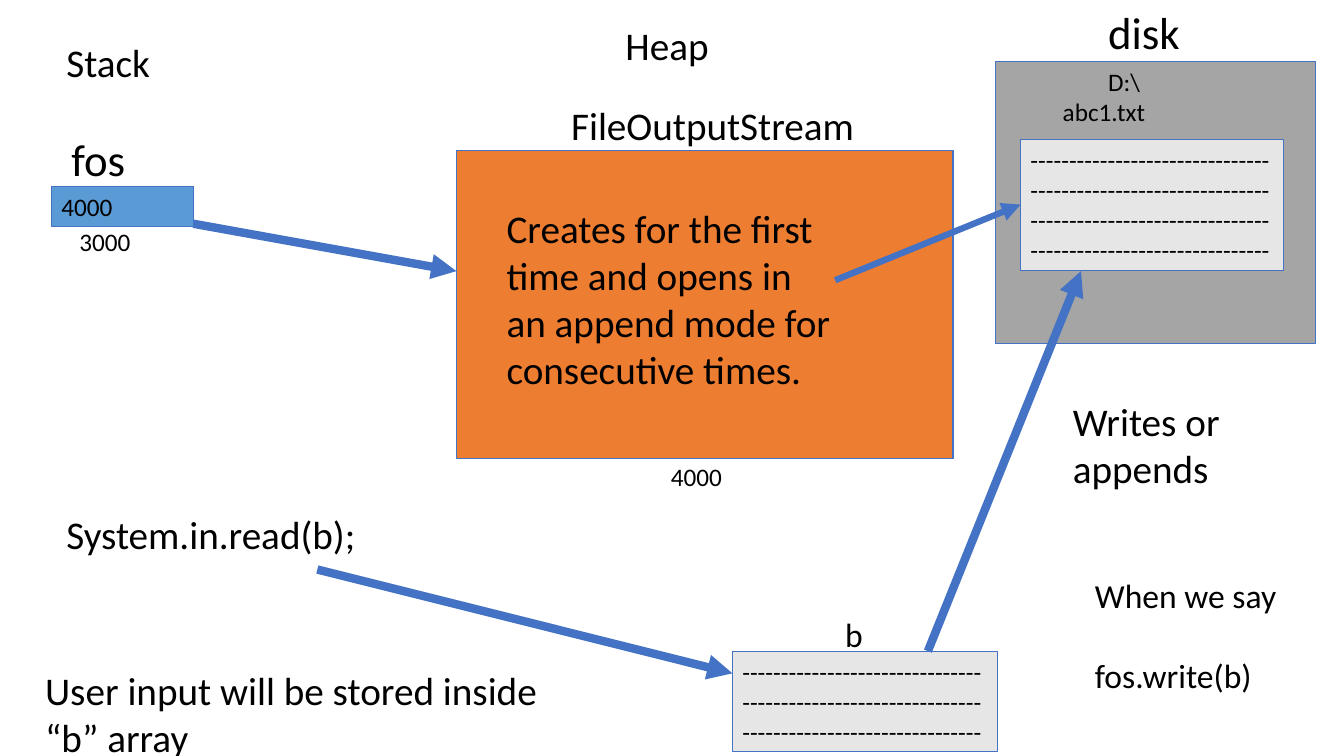
from pptx import Presentation
from pptx.dml.color import RGBColor
from pptx.enum.shapes import MSO_CONNECTOR, MSO_SHAPE
from pptx.enum.text import MSO_ANCHOR, PP_ALIGN
from pptx.oxml.ns import qn
from pptx.util import Inches, Pt
from lxml.etree import SubElement

BLUE = "4472C4"
PALE = "E7E6E6"
DASHES = 31


def color(text):
    """Turn a hex string into a colour."""
    return RGBColor.from_string(text)


def write(shape, text, size):
    """Put black, left-aligned text in a shape."""
    frame = shape.text_frame
    frame.text = text
    frame.word_wrap = True
    frame.vertical_anchor = MSO_ANCHOR.TOP
    for para in frame.paragraphs:
        para.alignment = PP_ALIGN.LEFT
        for run in para.runs:
            run.font.name = "Calibri"
            run.font.size = Pt(size)
            run.font.color.rgb = color("000000")
    return frame


def label(slide, x, y, w, h, text, size=28):
    """Add a text box."""
    box = slide.shapes.add_textbox(Inches(x), Inches(y), Inches(w), Inches(h))
    return write(box, text, size)


def block(slide, x, y, w, h, fill, text=""):
    """Add an outlined rectangle."""
    rect = slide.shapes.add_shape(
        MSO_SHAPE.RECTANGLE, Inches(x), Inches(y), Inches(w), Inches(h))
    rect.shadow.inherit = False
    rect.fill.solid()
    rect.fill.fore_color.rgb = color(fill)
    rect.line.color.rgb = color(BLUE)
    rect.line.width = Pt(0.75)
    write(rect, text, 18)
    return rect


def arrow(slide, start, end, width=6):
    """Add an arrow between two points."""
    line = slide.shapes.add_connector(
        MSO_CONNECTOR.STRAIGHT, *map(Inches, start + end))
    line.line.color.rgb = color(BLUE)
    line.line.width = Pt(width)
    SubElement(line.line._get_or_add_ln(), qn("a:tailEnd"), type="triangle")
    SubElement(line._element.spPr, qn("a:effectLst"))
    return line


def stack(slide, x, y):
    """Draw the stack with its variable cell."""
    label(slide, x + 0.05, y - 1.52, 1.24, 0.57, "Stack")
    label(slide, x + 0.1, y - 0.59, 0.98, 0.64, "fos", 32)
    block(slide, x, y, 1.41, 0.4, "5B9BD5", "4000")
    label(slide, x + 0.18, y + 0.35, 0.81, 0.4, "3000", 18)


def heap(slide, x, y, w, h):
    """Draw the heap with its stream object."""
    label(slide, x + 1.58, y - 1.33, 1.49, 0.57, "Heap")
    label(slide, x + 1.04, y - 0.53, 3.27, 0.57, "FileOutputStream")
    block(slide, x, y, w, h, "ED7D31")
    label(slide, x + 0.4, y + 0.49, 3.45, 2.57,
          "Creates for the first time and opens in an append mode "
          "for consecutive times.")
    label(slide, x + 2.03, y + h - 0.02, 1.18, 0.4, "4000", 18)


def disk(slide, x, y, w, h):
    """Draw the disk and return the file sheet on it."""
    label(slide, x + 1.02, y - 0.61, 1.64, 0.64, "disk", 32)
    drive = block(slide, x, y, w, h, "A5A5A5", "D:\\\nabc1.txt")
    for para, left in zip(drive.text_frame.paragraphs, (1.02, 0.57)):
        para._p.get_or_add_pPr().set("marL", str(Inches(left)))
    label(slide, x + 0.67, y + 3.28, 2.51, 1.04, "Writes or appends")
    return block(slide, x + 0.25, y + 0.77, 2.61, 1.3, PALE, "-" * DASHES * 4)


def buffer(slide, x, y):
    """Draw the byte array with the calls that use it."""
    block(slide, x, y, 2.63, 1, PALE, "-" * DASHES * 3)
    label(slide, x + 1.02, y - 0.42, 0.55, 0.5, "b", 24)
    call = label(slide, x + 3.5, y - 0.81, 2.63, 1.3,
                 "When we say\nfos.write(b)", 24)
    call.paragraphs[0].space_after = Pt(29)
    label(slide, x - 6.71, y - 1.45, 3.45, 0.57, "System.in.read(b);")
    label(slide, x - 6.92, y + 0.1, 5.44, 1.04,
          "User input will be stored inside “b” array")


def main():
    """Build and save the slide."""
    deck = Presentation()
    deck.slide_width = Inches(13.34)
    deck.slide_height = Inches(7.5)
    slide = deck.slides.add_slide(deck.slide_layouts[6])
    sheet = disk(slide, 9.88, 0.61, 3.18, 2.8)
    heap(slide, 4.53, 1.49, 4.93, 3.06)
    stack(slide, 0.51, 1.85)
    buffer(slide, 7.27, 6.46)
    link = arrow(slide, (8.29, 2.78), (10.13, 2.03), 4.5)
    link.end_connect(sheet, 1)
    for start, end in (
        ((3.15, 5.65), (7.27, 6.68)),
        ((9.21, 6.46), (10.73, 2.69)),
        ((1.92, 2.22), (4.53, 2.69)),
    ):
        arrow(slide, start, end)
    deck.save("out.pptx")


if __name__ == "__main__":
    main()
